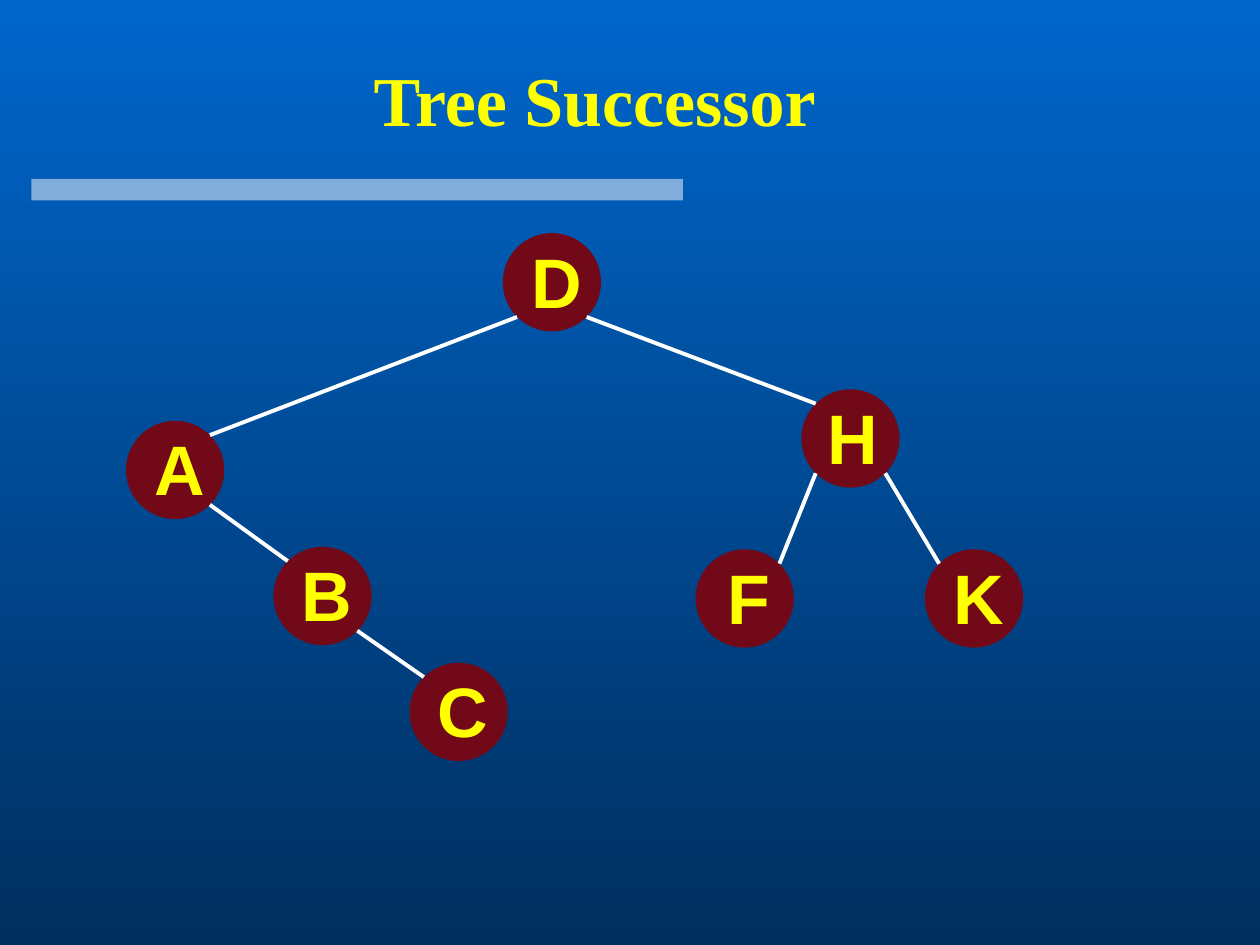
from lxml.etree import SubElement
from pptx import Presentation
from pptx.dml.color import RGBColor
from pptx.enum.shapes import MSO_CONNECTOR, MSO_SHAPE
from pptx.enum.text import MSO_ANCHOR, MSO_AUTO_SIZE, PP_ALIGN
from pptx.oxml.ns import qn
from pptx.util import Inches, Pt

COLS, ROWS = 100, 75
CELL = Inches(10) // COLS
SIZE = 7.8
INSET = 0.146
INK = {"top": "0066CC", "base": "002F5E", "text": "FFFF00", "node": "710918", "line": "FFFFFF"}
NODES = {
    "D": (39.9, 18.5), "A": (10, 33.4), "H": (63.6, 30.9), "B": (21.7, 43.4),
    "F": (55.2, 43.6), "K": (73.4, 43.6), "C": (32.5, 52.6),
}
EDGES = ["DA", "DH", "AB", "HF", "HK", "BC"]


def tint(name):
    """Return the named colour."""
    return RGBColor.from_string(INK[name])


def span(*cells):
    """Turn grid cells into lengths."""
    return [round(cell * CELL) for cell in cells]


def shade(slide):
    """Fill the background from top to base."""
    fill = slide.background.fill
    fill.gradient()
    fill.gradient_angle = 270
    for stop, name, spot in zip(fill.gradient_stops, ("top", "base"), (0, 1)):
        stop.color.rgb = tint(name)
        stop.position = spot


def block(shapes, kind, box, name):
    """Add a plain filled shape."""
    shape = shapes.add_shape(kind, *span(*box))
    shape.shadow.inherit = False
    shape.fill.solid()
    shape.fill.fore_color.rgb = tint(name)
    shape.line.fill.background()
    return shape


def label(shapes, box, text, face):
    """Add centred bold text and return its frame."""
    frame = shapes.add_textbox(*span(*box)).text_frame
    frame.word_wrap = True
    para = frame.paragraphs[0]
    para.text = text
    para.alignment = PP_ALIGN.CENTER
    font = para.font
    font.name, font.size, font.bold = face, Pt(40), True
    font.color.rgb = tint("text")
    return frame


def head(slide, box):
    """Place the half-clear bar and the title above it."""
    x, y, wide, high = box
    bar = block(slide.shapes, MSO_SHAPE.RECTANGLE, (x, y + high - 1.7, 51.7, 1.7), "line")
    tone = bar.fill._xPr.find(".//" + qn("a:srgbClr"))
    SubElement(tone, qn("a:alpha"), val="50000")
    frame = label(slide.shapes, (x + 0.4, y, wide - 0.4, 9.3), "Tree Successor", "Times New Roman")
    frame.vertical_anchor = MSO_ANCHOR.MIDDLE


def node(slide, x, y, key):
    """Group a disc with its letter."""
    shapes = slide.shapes.add_group_shape().shapes
    block(shapes, MSO_SHAPE.OVAL, (x, y, SIZE, SIZE), "node")
    shift = 1 if key == "H" else 1.2
    frame = label(shapes, (x + shift, y - 0.1, 6.1, 7.7), key, "Arial")
    frame.auto_size = MSO_AUTO_SIZE.SHAPE_TO_FIT_TEXT


def edge(slide, start, end):
    """Join the facing diagonal points of a parent and child."""
    near, far = INSET * SIZE, (1 - INSET) * SIZE
    out, into = (near, far) if end[0] < start[0] else (far, near)
    ends = span(start[0] + out, start[1] + far, end[0] + into, end[1] + near)
    link = slide.shapes.add_connector(MSO_CONNECTOR.STRAIGHT, *ends)
    link.line.color.rgb = tint("line")
    link.line.width = Pt(2.25)
    SubElement(link._element.spPr, qn("a:effectLst"))


def tree(slide, left, top):
    """Draw the nodes and then the edges from an origin."""
    spots = {key: (left + x, top + y) for key, (x, y) in NODES.items()}
    for key, spot in spots.items():
        node(slide, *spot, key)
    for start, end in EDGES:
        edge(slide, spots[start], spots[end])


def main():
    """Build and save the slide."""
    deck = Presentation()
    deck.slide_width, deck.slide_height = span(COLS, ROWS)
    slide = deck.slides.add_slide(deck.slide_layouts[6])
    shade(slide)
    head(slide, (2.5, 3.2, 89, 12.7))
    tree(slide, 0, 0)
    deck.save("out.pptx")


if __name__ == "__main__":
    main()
